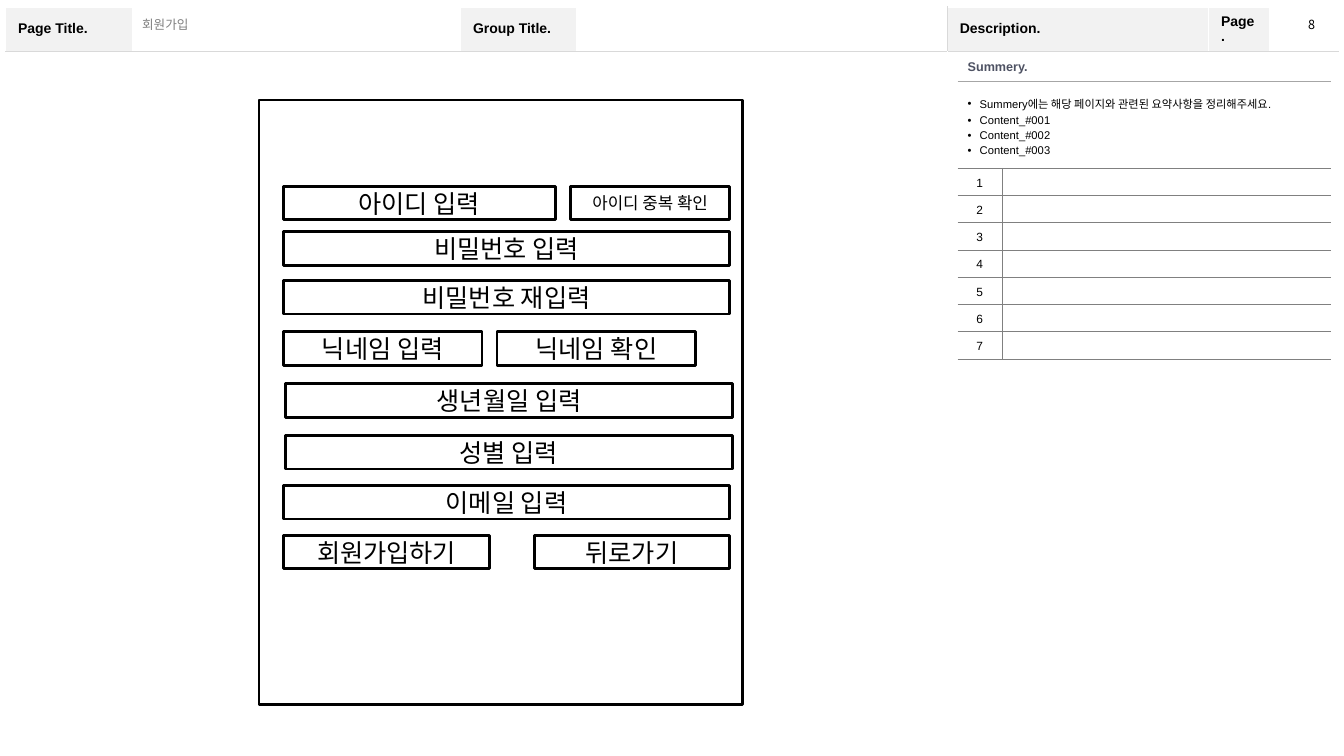
from lxml.etree import SubElement
from pptx import Presentation
from pptx.dml.color import RGBColor
from pptx.enum.shapes import MSO_SHAPE
from pptx.enum.text import MSO_ANCHOR, MSO_AUTO_SIZE, PP_ALIGN
from pptx.oxml.ns import qn
from pptx.util import Pt

BLACK = RGBColor(0x00, 0x00, 0x00)
WHITE = RGBColor(0xFF, 0xFF, 0xFF)
LABEL_FILL = RGBColor(0xF2, 0xF2, 0xF2)
FRAME_LINE = RGBColor(0xD9, 0xD9, 0xD9)
SUMMARY_LINE = RGBColor(0xA6, 0xA6, 0xA6)
GRAY = RGBColor(0x80, 0x80, 0x80)
SLATE = RGBColor(0x4E, 0x52, 0x63)
KOREAN_FONT = "Noto Sans CJK KR"


def style_text(paragraph, size, color=BLACK, font="Arial", bold=False):
    """Format the runs of a paragraph, or set the size of an empty one."""
    for run in paragraph.runs:
        run.font.size = Pt(size)
        run.font.bold = bold
        run.font.color.rgb = color
        run.font.name = font
        SubElement(run.font._element, qn("a:ea"), typeface=KOREAN_FONT)
    if not paragraph.runs:
        SubElement(paragraph._p, qn("a:endParaRPr"), sz=str(int(size * 100)))


def style_cell(cell, fill=None, **edges):
    """Set the borders named L, R, T and B, clear the others, and set the fill."""
    properties = cell._tc.get_or_add_tcPr()
    for side in "LRTB":
        color = edges.get(side)
        width = 1 if color == WHITE else 0.25
        line = SubElement(properties, qn(f"a:ln{side}"), w=str(Pt(width)))
        if color is None:
            SubElement(line, qn("a:noFill"))
        else:
            solid = SubElement(line, qn("a:solidFill"))
            SubElement(solid, qn("a:srgbClr"), val=str(color))
    if fill is None:
        cell.fill.background()
    else:
        cell.fill.solid()
        cell.fill.fore_color.rgb = fill
    cell.vertical_anchor = MSO_ANCHOR.MIDDLE


presentation = Presentation()
presentation.slide_width = Pt(960)
presentation.slide_height = Pt(540)
slide = presentation.slides.add_slide(presentation.slide_layouts[5])

# Page title
title = slide.shapes.title
title.left, title.top, title.width, title.height = Pt(94.3), Pt(8.6), Pt(233), Pt(17.3)
title.text_frame.text = "회원가입"
title.text_frame.vertical_anchor = MSO_ANCHOR.MIDDLE
title.text_frame.auto_size = MSO_AUTO_SIZE.NONE
title.text_frame.paragraphs[0].alignment = PP_ALIGN.LEFT
style_text(title.text_frame.paragraphs[0], 9, GRAY)

# Page frame with the header labels
header_labels = ["Page Title.", "", "Group Title.", "", "Description.", "Page.", ""]
column_widths = [90.5, 234.5, 82.7, 265, 186.6, 44, 49]
frame = slide.shapes.add_table(
    2, 7, Pt(4), Pt(5), Pt(sum(column_widths)), Pt(511.5)).table
frame.first_row = frame.horz_banding = False
frame.rows[0].height = Pt(31.5)
frame.rows[1].height = Pt(480)
for index, (label, width) in enumerate(zip(header_labels, column_widths)):
    frame.columns[index].width = Pt(width)
    left = FRAME_LINE if index == 4 else WHITE
    right = FRAME_LINE if index == 3 else WHITE
    cell = frame.cell(0, index)
    cell.text_frame.text = label
    cell.margin_left = cell.margin_right = Pt(9)
    cell.margin_top = cell.margin_bottom = Pt(4)
    style_text(cell.text_frame.paragraphs[0], 10, bold=True)
    style_cell(cell, LABEL_FILL if label else None, L=left, R=right, T=WHITE, B=FRAME_LINE)
    style_cell(frame.cell(1, index), L=left, R=right, T=FRAME_LINE, B=WHITE)
frame.cell(1, 0).merge(frame.cell(1, 3))
frame.cell(1, 4).merge(frame.cell(1, 6))

# Description panel: summary, then numbered rows
summary_lines = ["Summery에는 해당 페이지와 관련된 요약사항을 정리해주세요.",
                 "Content_#001", "Content_#002", "Content_#003"]
row_heights = [20.6, 62] + [19.45] * 7
panel = slide.shapes.add_table(
    9, 2, Pt(684), Pt(37.5), Pt(266.5), Pt(sum(row_heights))).table
panel.first_row = panel.horz_banding = False
panel.columns[0].width = Pt(31.7)
panel.columns[1].width = Pt(234.8)
for row, height in zip(panel.rows, row_heights):
    row.height = Pt(height)

heading, summary = panel.cell(0, 0), panel.cell(1, 0)
heading.text_frame.text = "Summery."
style_text(heading.text_frame.paragraphs[0], 9, SLATE, bold=True)
summary.text_frame.text = "\n".join(summary_lines)
for paragraph in summary.text_frame.paragraphs:
    paragraph.alignment = PP_ALIGN.JUSTIFY
    paragraph.line_spacing = 1.2
    style_text(paragraph, 8)
    properties = paragraph._p.get_or_add_pPr()
    properties.set("marL", str(Pt(8.6)))
    properties.set("indent", str(Pt(-8.6)))
    SubElement(properties, qn("a:buFont"), typeface="Arial")
    SubElement(properties, qn("a:buChar"), char="•")
for column in range(2):
    style_cell(panel.cell(0, column), WHITE, B=SUMMARY_LINE)
    style_cell(panel.cell(1, column), T=SUMMARY_LINE, B=GRAY)
heading.merge(panel.cell(0, 1))
summary.merge(panel.cell(1, 1))

for number in range(1, 8):
    number_cell, note_cell = panel.cell(number + 1, 0), panel.cell(number + 1, 1)
    number_cell.text_frame.text = str(number)
    paragraph = number_cell.text_frame.paragraphs[0]
    paragraph.alignment = PP_ALIGN.CENTER
    paragraph.line_spacing = 1.2
    style_text(paragraph, 8.5)
    style_text(note_cell.text_frame.paragraphs[0], 8)
    style_cell(number_cell, R=GRAY, T=GRAY, B=GRAY)
    style_cell(note_cell, L=GRAY, T=GRAY, B=GRAY)

# Page number
page_number = slide.shapes.add_textbox(Pt(927.4), Pt(8.6), Pt(19.4), Pt(18))
page_number.text_frame.text = "8"
page_number.text_frame.word_wrap = False
page_number.text_frame.auto_size = MSO_AUTO_SIZE.SHAPE_TO_FIT_TEXT
style_text(page_number.text_frame.paragraphs[0], 9, font=KOREAN_FONT)

# Sign-up form: text, left, top, width, height, text size
FIELD_LEFT, FIELD_WIDTH, FIELD_HEIGHT = 202.3, 319, 24
form_boxes = [
    ("", 185, 71.5, 345.6, 432, 18),
    ("아이디 입력", FIELD_LEFT, 133, 194.4, FIELD_HEIGHT, 18),
    ("아이디 중복 확인", 407.6, 133, 113.7, FIELD_HEIGHT, 12),
    ("비밀번호 입력", FIELD_LEFT, 165.5, FIELD_WIDTH, FIELD_HEIGHT, 18),
    ("비밀번호 재입력", FIELD_LEFT, 200.3, FIELD_WIDTH, FIELD_HEIGHT, 18),
    ("닉네임 입력", FIELD_LEFT, 237, 142, FIELD_HEIGHT, 18),
    ("닉네임 확인", 355, 236.8, 142, FIELD_HEIGHT, 18),
    ("생년월일 입력", 204.2, 274, FIELD_WIDTH, FIELD_HEIGHT, 18),
    ("성별 입력", 204, 311, FIELD_WIDTH, FIELD_HEIGHT, 18),
    ("이메일 입력", FIELD_LEFT, 346.8, FIELD_WIDTH, FIELD_HEIGHT, 18),
    ("회원가입하기", FIELD_LEFT, 382.3, 147.6, FIELD_HEIGHT, 18),
    ("뒤로가기", 381.6, 382.3, 139.7, FIELD_HEIGHT, 18),
]
for text, left, top, width, height, size in form_boxes:
    box = slide.shapes.add_shape(
        MSO_SHAPE.RECTANGLE, Pt(left), Pt(top), Pt(width), Pt(height))
    box.shadow.inherit = False
    box.fill.background()
    box.line.color.rgb = BLACK
    box.line.width = Pt(2)
    if text:
        box.text_frame.text = text
        box.text_frame.vertical_anchor = MSO_ANCHOR.MIDDLE
        box.text_frame.paragraphs[0].alignment = PP_ALIGN.CENTER
        style_text(box.text_frame.paragraphs[0], size, font=KOREAN_FONT)

presentation.save("out.pptx")
